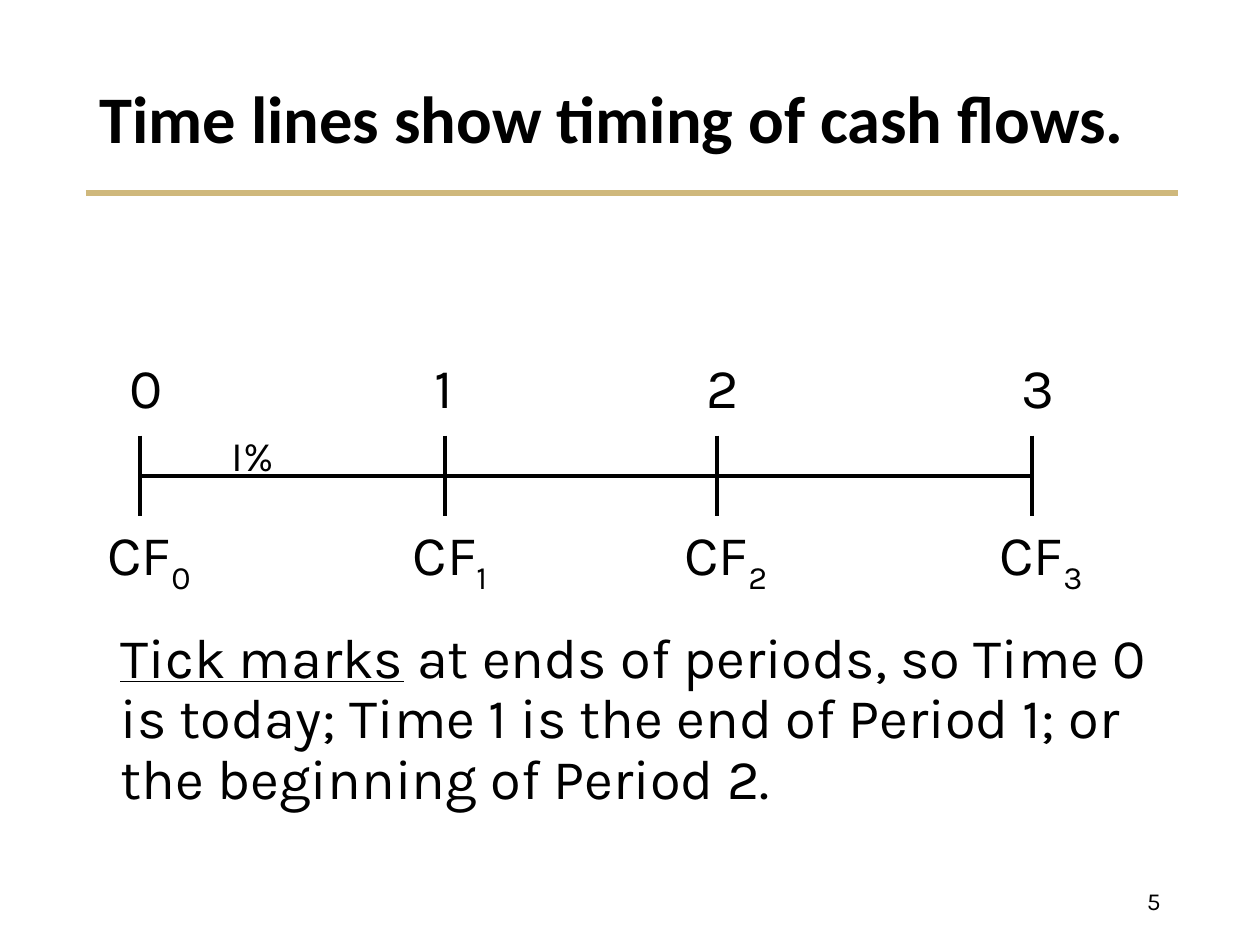
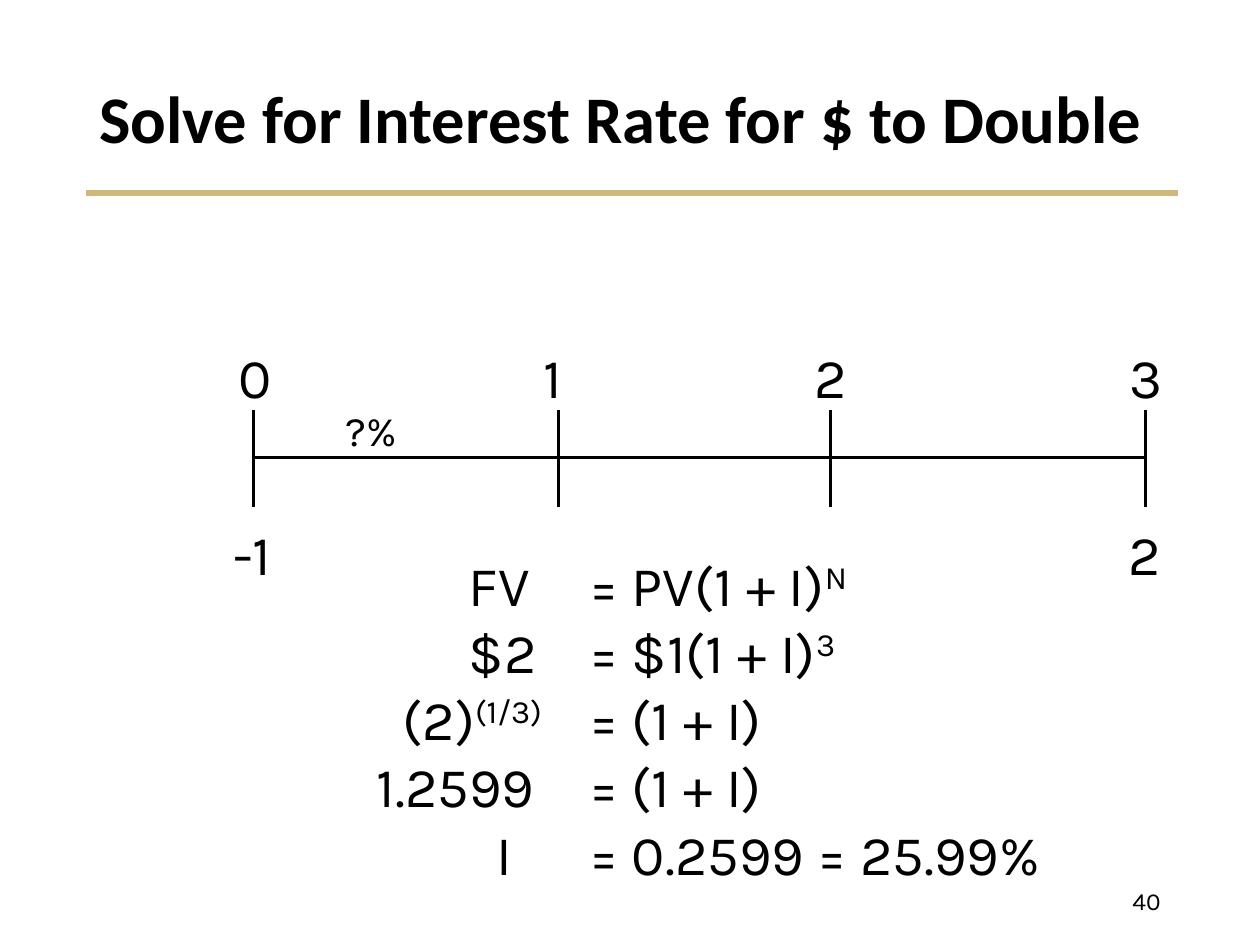
from dataclasses import dataclass

import lxml.etree
import pptx
import pptx.dml.color
import pptx.enum.shapes
import pptx.enum.text
import pptx.oxml.ns
import pptx.presentation
import pptx.shapes.connector
import pptx.slide
import pptx.text.text
import pptx.util

Cm = pptx.util.Cm
Align = pptx.enum.text.PP_ALIGN
Anchor = pptx.enum.text.MSO_ANCHOR
AutoSize = pptx.enum.text.MSO_AUTO_SIZE


@dataclass(frozen=True)
class Theme:
    ink: str = "000000"
    gold: str = "CFB87C"
    title_font: str = "Calibri"
    body_font: str = "Karla"
    title_size: int = 38
    body_size: int = 32
    rate_size: int = 24
    number_size: int = 14
    rule_width: int = 3
    axis_width: int = 2


THEME = Theme()


@dataclass(frozen=True)
class Box:
    """A rectangle in centimetres."""
    left: float
    top: float
    width: float
    height: float


@dataclass(frozen=True)
class Run:
    text: str
    baseline: int = 0  # percent: negative is subscript, positive superscript
    underline: bool = False


@dataclass(frozen=True)
class CashFlow:
    period: int
    runs: tuple[Run, ...]
    width: float
    shift: float  # from the tick to the middle of the label


@dataclass(frozen=True)
class Timeline:
    origin: float
    tick_top: float
    tick_height: float
    axis_y: float
    period_top: float
    period_shift: float
    rate: str
    rate_top: float
    flows: tuple[CashFlow, ...]


@dataclass(frozen=True)
class Equation:
    indent: float
    left_side: tuple[Run, ...]
    right_side: tuple[Run, ...]


# Shared layout
TITLE_BOX = Box(1.75, 1.02, 21.89, 2.87)
NUMBER_BOX = Box(17.93, 17.65, 5.72, 1.02)
RULE_LEFT, RULE_RIGHT, RULE_Y = 1.73, 23.75, 3.89
TICK_OFFSETS = (0, 6.15, 11.63, 17.98)
LABEL_HEIGHT = 1.6
PERIOD_WIDTH = 1.12
RATE_OFFSET = 1.6
FLOW_TOP = 10.34

# First slide
CASH_FLOW_LINE = Timeline(
    origin=2.82, tick_top=8.78, tick_height=1.63, axis_y=9.6,
    period_top=6.99, period_shift=0.1, rate="I%", rate_top=8.53,
    flows=tuple(
        CashFlow(period, (Run("CF"), Run(str(period), baseline=-25)), 2.18, 0.19)
        for period in range(len(TICK_OFFSETS))
    ),
)
EXPLANATION_BOX = Box(2.18, 12.57, 21.54, 3.71)
EXPLANATION = (
    Run("Tick marks", underline=True),
    Run(" at ends of periods, so Time 0 is today; Time 1 is the end of "
        "Period 1; or the beginning of Period 2."),
)

# Second slide
DOUBLING_LINE = Timeline(
    origin=5.11, tick_top=8.26, tick_height=1.96, axis_y=9.22,
    period_top=6.78, period_shift=0, rate="?%", rate_top=8.03,
    flows=(
        CashFlow(0, (Run("-1"),), 1.52, 0.1),
        CashFlow(3, (Run("2"),), PERIOD_WIDTH, -0.02),
    ),
)
EQUATION_BOX = Box(6.55, 10.97, 15.65, 7.04)
EQUALS_TAB = 5.08
EQUATIONS = (
    Equation(2.65, (Run("FV"),), (Run("= PV(1 + I)"), Run("N", baseline=30))),
    Equation(2.65, (Run("$2"),), (Run("= $1(1 + I)"), Run("3", baseline=30))),
    Equation(1.32, (Run("(2)"), Run("(1/3)", baseline=30)), (Run("= (1 + I)"),)),
    Equation(0.8, (Run("1.2599"),), (Run("= (1 + I)"),)),
    Equation(3.2, (Run("I"),), (Run("= 0.2599 = 25.99%"),)),
)


def write_runs(
    paragraph: pptx.text.text._Paragraph,
    runs: tuple[Run, ...],
    *,
    size: int = THEME.body_size,
    font: str = THEME.body_font,
    bold: bool = False,
    align: Align = Align.LEFT,
    line_spacing: float | None = None,
) -> None:
    """Write formatted runs into a paragraph."""
    paragraph.alignment = align
    if line_spacing is not None:
        paragraph.line_spacing = line_spacing
    for item in runs:
        run = paragraph.add_run()
        run.text = item.text
        run.font.name = font
        run.font.size = pptx.util.Pt(size)
        run.font.bold = bold
        run.font.underline = item.underline
        run.font.color.rgb = pptx.dml.color.RGBColor.from_string(THEME.ink)
        if item.baseline:
            run._r.get_or_add_rPr().set("baseline", str(item.baseline * 1000))


def add_text_box(
    slide: pptx.slide.Slide, box: Box, *, wrap: bool = False,
    anchor: Anchor = Anchor.TOP,
) -> pptx.text.text.TextFrame:
    shape = slide.shapes.add_textbox(
        Cm(box.left), Cm(box.top), Cm(box.width), Cm(box.height))
    frame = shape.text_frame
    frame.word_wrap = wrap
    frame.auto_size = AutoSize.NONE if wrap else AutoSize.SHAPE_TO_FIT_TEXT
    frame.vertical_anchor = anchor
    return frame


def add_line(
    slide: pptx.slide.Slide, start: tuple[float, float], end: tuple[float, float],
    *, color: str = THEME.ink, width: int = THEME.axis_width,
) -> pptx.shapes.connector.Connector:
    line = slide.shapes.add_connector(
        pptx.enum.shapes.MSO_CONNECTOR.STRAIGHT,
        Cm(start[0]), Cm(start[1]), Cm(end[0]), Cm(end[1]))
    line.line.color.rgb = pptx.dml.color.RGBColor.from_string(color)
    line.line.width = pptx.util.Pt(width)
    lxml.etree.SubElement(line._element.spPr, pptx.oxml.ns.qn("a:effectLst"))
    return line


def add_base_slide(
    presentation: pptx.presentation.Presentation, title: str, number: int,
) -> pptx.slide.Slide:
    """Add a slide with its gold rule, title and page number."""
    slide = presentation.slides.add_slide(
        presentation.slide_layouts.get_by_name("Title Only"))
    add_line(slide, (RULE_LEFT, RULE_Y), (RULE_RIGHT, RULE_Y),
             color=THEME.gold, width=THEME.rule_width)

    shape = slide.shapes.title
    shape.left, shape.top = Cm(TITLE_BOX.left), Cm(TITLE_BOX.top)
    shape.width, shape.height = Cm(TITLE_BOX.width), Cm(TITLE_BOX.height)
    shape.text_frame.auto_size = AutoSize.NONE
    shape.text_frame.vertical_anchor = Anchor.MIDDLE
    write_runs(shape.text_frame.paragraphs[0], (Run(title),),
               size=THEME.title_size, font=THEME.title_font, bold=True,
               line_spacing=0.9)

    frame = add_text_box(slide, NUMBER_BOX, wrap=True, anchor=Anchor.MIDDLE)
    write_runs(frame.paragraphs[0], (Run(str(number)),),
               size=THEME.number_size, align=Align.RIGHT)
    return slide


def add_label(
    slide: pptx.slide.Slide, runs: tuple[Run, ...], center: float, top: float,
    width: float,
) -> None:
    frame = add_text_box(slide, Box(center - width / 2, top, width, LABEL_HEIGHT))
    write_runs(frame.paragraphs[0], runs)


def draw_timeline(slide: pptx.slide.Slide, timeline: Timeline) -> None:
    ticks = [timeline.origin + offset for offset in TICK_OFFSETS]
    add_line(slide, (ticks[0], timeline.axis_y), (ticks[-1], timeline.axis_y))
    for period, x in enumerate(ticks):
        add_line(slide, (x, timeline.tick_top),
                 (x, timeline.tick_top + timeline.tick_height))
        add_label(slide, (Run(str(period)),), x + timeline.period_shift,
                  timeline.period_top, PERIOD_WIDTH)
    for flow in timeline.flows:
        add_label(slide, flow.runs, ticks[flow.period] + flow.shift,
                  FLOW_TOP, flow.width)
    rate_box = Box(timeline.origin + RATE_OFFSET, timeline.rate_top, 1.7, 1.27)
    write_runs(add_text_box(slide, rate_box).paragraphs[0],
               (Run(timeline.rate),), size=THEME.rate_size)


def set_tabs(paragraph: pptx.text.text._Paragraph, *positions: float) -> None:
    tabs = lxml.etree.SubElement(
        paragraph._p.get_or_add_pPr(), pptx.oxml.ns.qn("a:tabLst"))
    for position in positions:
        lxml.etree.SubElement(tabs, pptx.oxml.ns.qn("a:tab"),
                              pos=str(int(Cm(position))), algn="l")


def draw_equations(slide: pptx.slide.Slide) -> None:
    frame = add_text_box(slide, EQUATION_BOX, wrap=True)
    for index, equation in enumerate(EQUATIONS):
        paragraph = frame.add_paragraph() if index else frame.paragraphs[0]
        set_tabs(paragraph, equation.indent, EQUALS_TAB)
        tab = (Run("\t"),)
        write_runs(paragraph, tab + equation.left_side + tab + equation.right_side)


def main() -> None:
    presentation = pptx.Presentation()
    presentation.slide_width, presentation.slide_height = Cm(25.4), Cm(19.05)

    # Timing of cash flows
    slide = add_base_slide(presentation, "Time lines show timing of cash flows.", 5)
    draw_timeline(slide, CASH_FLOW_LINE)
    frame = add_text_box(slide, EXPLANATION_BOX, wrap=True)
    write_runs(frame.paragraphs[0], EXPLANATION, line_spacing=0.9)

    # Interest rate that doubles the money
    slide = add_base_slide(presentation, "Solve for Interest Rate for $ to Double", 40)
    draw_timeline(slide, DOUBLING_LINE)
    draw_equations(slide)

    presentation.save("out.pptx")


if __name__ == "__main__":
    main()
